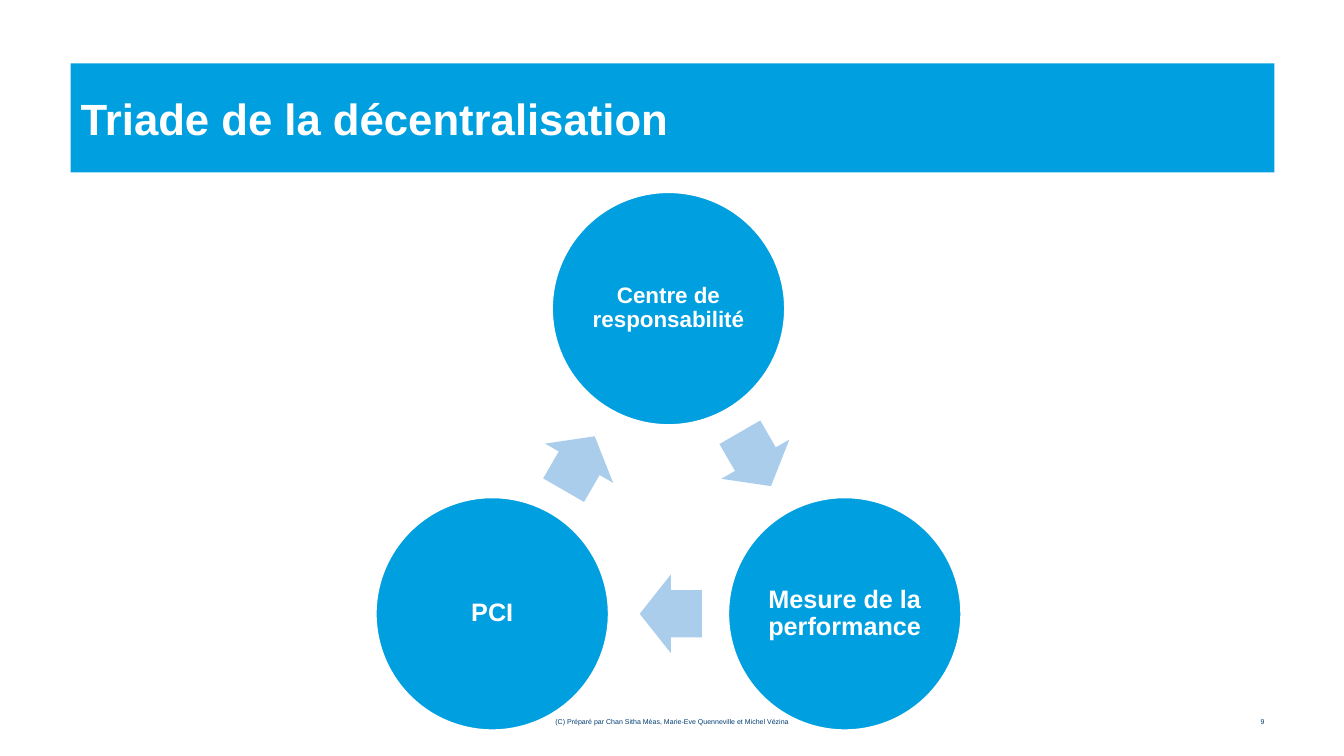
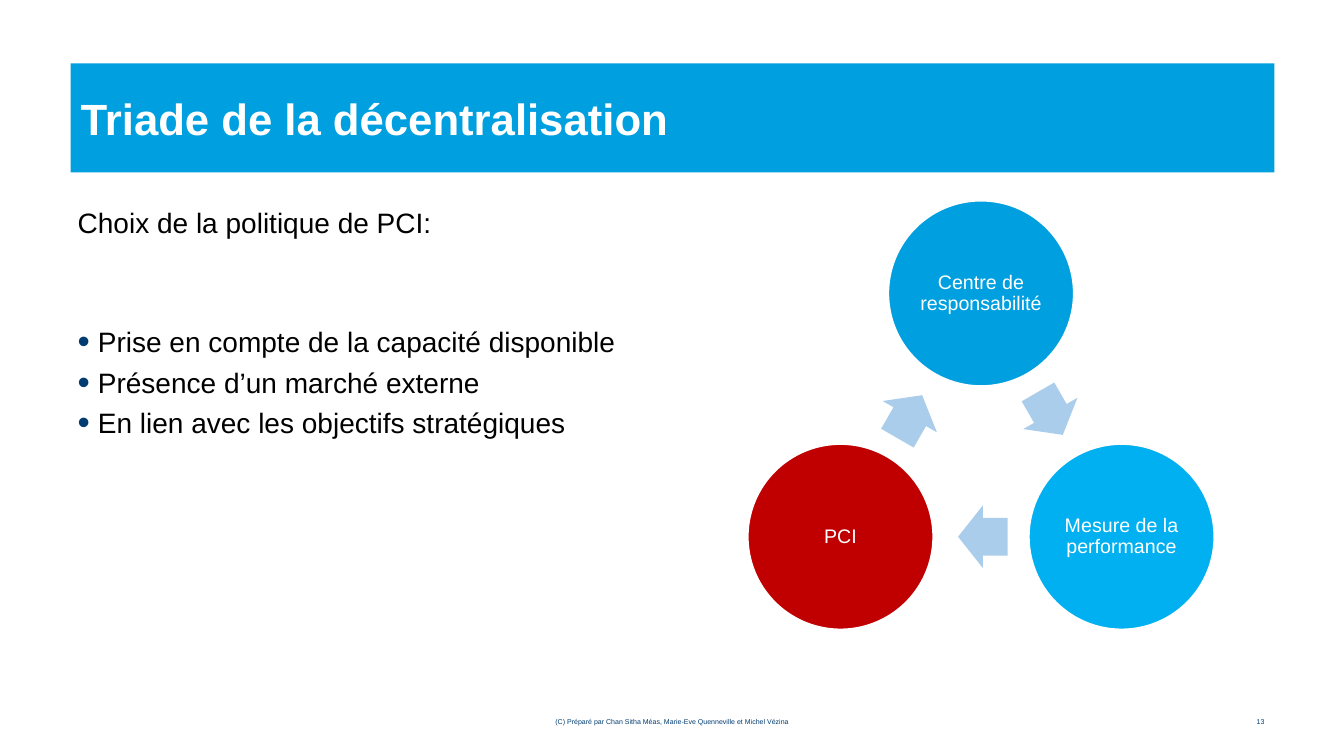
from math import cos, radians, sin

from lxml.etree import SubElement
from pptx import Presentation
from pptx.dml.color import RGBColor
from pptx.enum.shapes import MSO_SHAPE
from pptx.enum.text import MSO_ANCHOR, MSO_AUTO_SIZE, PP_ALIGN
from pptx.oxml.ns import qn
from pptx.util import Inches, Pt

BLUE, SKY, RED = "009FDF", "00B0F0", "C00000"
NAVY, PALE, WHITE, BLACK = "003C71", "ABCDEC", "FFFFFF", "000000"
FONT = "Arial"
TITLE = "Triade de la décentralisation"
CREDIT = "(C) Préparé par Chan Sitha Méas, Marie-Eve Quenneville et Michel Vézina"
TRIAD = ["Centre de responsabilité", "Mesure de la performance", "PCI"]
TITLE_ONLY, TITLE_AND_BODY = 5, 1

SLIDES = [
    {
        "number": "9", "layout": TITLE_ONLY,
        "hub": (6.63, 5.08), "diameter": 2.32, "bold": True,
        "sizes": [16, 18, 18], "fills": [BLUE, BLUE, BLUE],
    },
    {
        "number": "13", "layout": TITLE_AND_BODY,
        "hub": (9.73, 4.52), "diameter": 1.85, "bold": False,
        "sizes": [14, 14, 14], "fills": [BLUE, SKY, RED],
        "intro": "Choix de la politique de PCI:",
        "points": [
            "Prise en compte de la capacité disponible",
            "Présence d’un marché externe",
            "En lien avec les objectifs stratégiques",
        ],
    },
]


def color(value):
    return RGBColor.from_string(value)


def place(shape, left, top, width, height):
    shape.left, shape.top = Inches(left), Inches(top)
    shape.width, shape.height = Inches(width), Inches(height)


def write(paragraph, text, size, ink, bold=False, align=PP_ALIGN.LEFT):
    paragraph.alignment = align
    run = paragraph.add_run()
    run.text = text
    run.font.name = FONT
    run.font.size = Pt(size)
    run.font.bold = bold
    run.font.color.rgb = color(ink)


def add_title(slide):
    title = slide.shapes.title
    place(title, 0.7, 0.63, 11.94, 1.08)
    title.fill.solid()
    title.fill.fore_color.rgb = color(BLUE)
    frame = title.text_frame
    frame.auto_size = MSO_AUTO_SIZE.NONE
    frame.vertical_anchor = MSO_ANCHOR.MIDDLE
    write(frame.paragraphs[0], TITLE, 31.2, WHITE, bold=True)


def add_footer(slide, number):
    for text, left, width, align in [
        (CREDIT, 4.56, 4.22, PP_ALIGN.CENTER),
        (number, 11.96, 0.68, PP_ALIGN.RIGHT),
    ]:
        footer = slide.shapes.add_textbox(
            Inches(left), Inches(7.07), Inches(width), Inches(0.18))
        frame = footer.text_frame
        frame.word_wrap = True
        frame.vertical_anchor = MSO_ANCHOR.MIDDLE
        paragraph = frame.paragraphs[0]
        paragraph.line_spacing = 0.9
        write(paragraph, text, 5, NAVY, align=align)


def set_bullet(paragraph, shown):
    props = paragraph._p.get_or_add_pPr()
    indent = Inches(0.2) if shown else 0
    props.set("marL", str(indent))
    props.set("indent", str(-indent))
    if not shown:
        SubElement(props, qn("a:buNone"))
        return
    SubElement(SubElement(props, qn("a:buClr")), qn("a:srgbClr"), val=NAVY)
    SubElement(props, qn("a:buSzPct"), val="125000")
    SubElement(props, qn("a:buFont"), typeface=FONT)
    SubElement(props, qn("a:buChar"), char="•")


def add_body(slide, intro, points):
    body = slide.placeholders[1]
    place(body, 0.67, 1.99, 5.89, 4.26)
    frame = body.text_frame
    frame.auto_size = MSO_AUTO_SIZE.NONE
    lead = frame.paragraphs[0]
    set_bullet(lead, False)
    lead.space_before = Pt(0)
    write(lead, intro, 20, BLACK)
    for index, point in enumerate(points):
        paragraph = frame.add_paragraph()
        set_bullet(paragraph, True)
        paragraph.space_before = Pt(5 if index else 61)
        write(paragraph, point, 20, BLACK)


def add_centered(slide, kind, center, width, height, fill):
    shape = slide.shapes.add_shape(
        kind, Inches(center[0] - width / 2), Inches(center[1] - height / 2),
        Inches(width), Inches(height))
    shape.shadow.inherit = False
    shape.fill.solid()
    shape.fill.fore_color.rgb = color(fill)
    shape.line.fill.background()
    return shape


def add_circle(slide, center, diameter, fill, text, size, bold):
    circle = add_centered(
        slide, MSO_SHAPE.OVAL, center, diameter, diameter, fill)
    circle.line.color.rgb = color(WHITE)
    circle.line.width = Pt(2)
    frame = circle.text_frame
    frame.word_wrap = True
    frame.vertical_anchor = MSO_ANCHOR.MIDDLE
    frame.margin_left = frame.margin_right = Inches(0.02)
    frame.margin_top = frame.margin_bottom = Inches(0.02)
    paragraph = frame.paragraphs[0]
    paragraph.line_spacing = 0.9
    write(paragraph, text, size, WHITE, bold, PP_ALIGN.CENTER)


def add_cycle(slide, hub, diameter, fills, sizes, bold):
    radius = 0.87 * diameter
    setback = 0.01 * diameter
    centers = [
        (hub[0] + radius * cos(radians(angle)),
         hub[1] + radius * sin(radians(angle)))
        for angle in (-90, 30, 150)
    ]
    for index, center in enumerate(centers):
        add_circle(slide, center, diameter, fills[index],
                   TRIAD[index], sizes[index], bold)
        following = centers[(index + 1) % len(centers)]
        heading = 60 + 120 * index
        middle = (
            (center[0] + following[0]) / 2 - setback * cos(radians(heading)),
            (center[1] + following[1]) / 2 - setback * sin(radians(heading)),
        )
        arrow = add_centered(slide, MSO_SHAPE.RIGHT_ARROW, middle,
                             0.266 * diameter, 0.336 * diameter, PALE)
        arrow.adjustments[0] = 0.6
        arrow.adjustments[1] = 0.5
        arrow.rotation = heading


def main():
    deck = Presentation()
    deck.slide_width, deck.slide_height = Inches(13.33), Inches(7.5)
    for content in SLIDES:
        slide = deck.slides.add_slide(deck.slide_layouts[content["layout"]])
        add_title(slide)
        if "points" in content:
            add_body(slide, content["intro"], content["points"])
        add_footer(slide, content["number"])
        add_cycle(slide, content["hub"], content["diameter"],
                  content["fills"], content["sizes"], content["bold"])
    deck.save("out.pptx")


if __name__ == "__main__":
    main()
